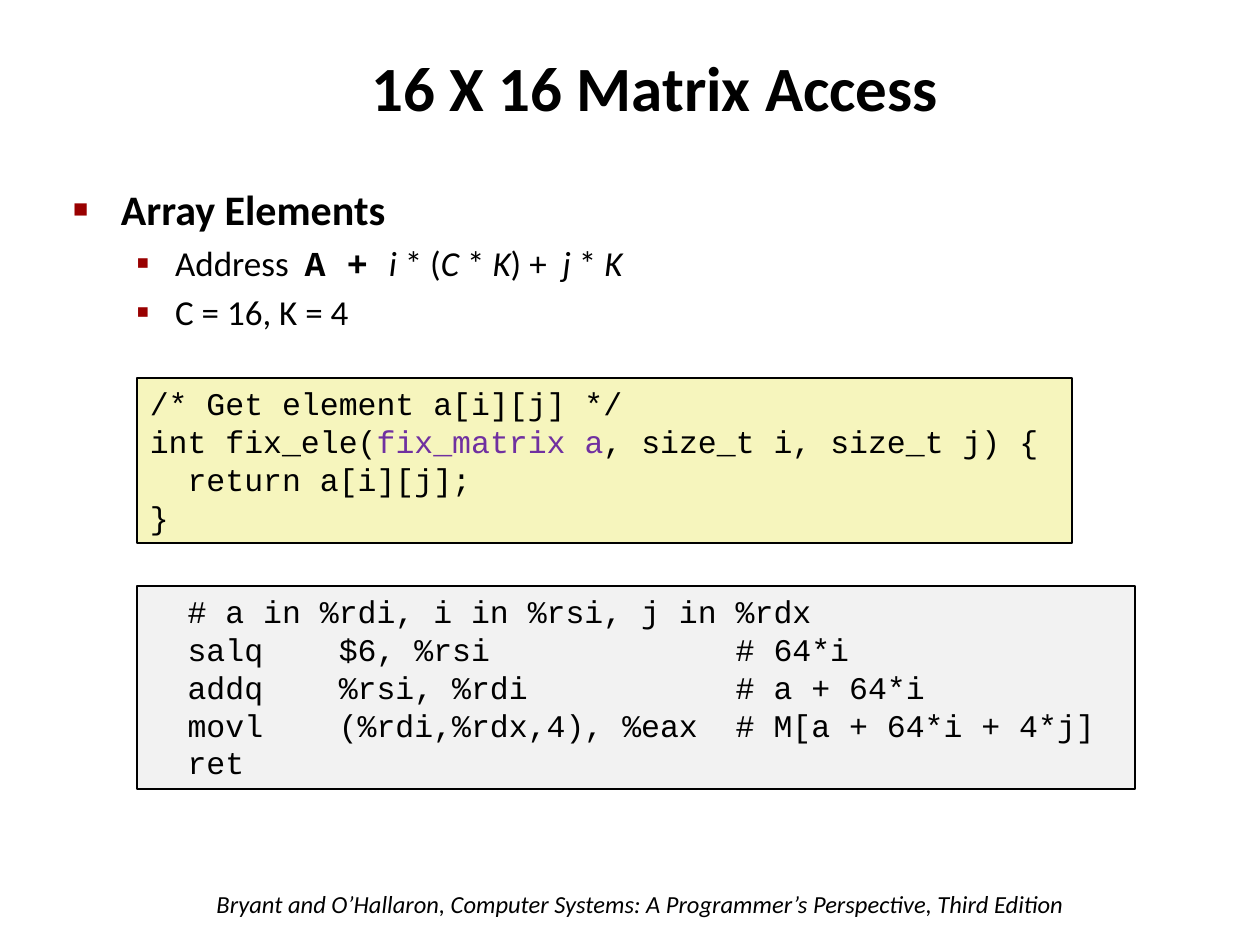
from dataclasses import dataclass

from lxml.etree import SubElement
from pptx import Presentation
from pptx.dml.color import RGBColor
from pptx.enum.shapes import MSO_SHAPE as Shape
from pptx.enum.text import MSO_ANCHOR as Anchor, MSO_AUTO_SIZE as AutoSize, PP_ALIGN as Align
from pptx.oxml.ns import qn
from pptx.util import Inches, Pt


@dataclass(frozen=True)
class Theme:
    sans: str = "Calibri"
    mono: str = "Courier New"
    ink: str = "000000"
    accent: str = "7030A0"
    bullet: str = "990000"
    c_fill: str = "F6F5BD"
    asm_fill: str = "F2F2F2"
    title: int = 36
    heading: int = 24
    item: int = 20
    code: int = 18
    footer: int = 14


THEME = Theme()

# Content: paragraphs are lists of (text, style) runs
TITLE = "16 X 16 Matrix Access"
FOOTER = "Bryant and O’Hallaron, Computer Systems: A Programmer’s Perspective, Third Edition"
ITALIC = {"italic": True}
BULLETS = [
    (0, [("Array Elements", {"bold": True})]),
    (1, [("Address  ", {}), ("A + ", {"bold": True, "face": THEME.mono}),
         ("i ", ITALIC), ("* (", {}), ("C ", ITALIC), ("* ", {}), ("K", ITALIC),
         (") +  ", {}), ("j", ITALIC), (" * ", {}), ("K", ITALIC)]),
    (1, [("C = 16, K = 4", {})]),
]
C_CODE = [
    [("/* Get element a[i][j] */", {})],
    [("int fix_ele(", {}), ("fix_matrix a", {"color": THEME.accent}),
     (", size_t i, size_t j) {", {})],
    [("  return a[i][j];", {})],
    [("}", {})],
]
ASSEMBLY = [[(line, {})] for line in (
    "  # a in %rdi, i in %rsi, j in %rdx",
    "  salq    $6, %rsi             # 64*i",
    "  addq    %rsi, %rdi           # a + 64*i",
    "  movl    (%rdi,%rdx,4), %eax  # M[a + 64*i + 4*j]",
    "  ret",
)]

# Layout in inches: left, top, width, height
TITLE_BOX = (0.89, 0, 8.62, 1.45)
BODY_BOX = (0.48, 1.41, 8.52, 1.59)
FOOTER_BOX = (1.62, 7.01, 7.1, 0.34)
CODE_LEFT, CODE_TOP, CODE_GAP = 1.09, 3, 0.34
CODE_BLOCKS = [  # lines, fill, width, height
    (C_CODE, THEME.c_fill, 7.42, 1.31),
    (ASSEMBLY, THEME.asm_fill, 7.92, 1.61),
]
LEVELS = [  # size, text indent, hanging indent, bullet, bullet size in percent
    (THEME.heading, 0.38, 0.38, "■", 60),
    (THEME.item, 0.81, 0.31, "▪", 110),
]


def inches(box):
    return [Inches(value) for value in box]


def place(shape, box):
    shape.left, shape.top, shape.width, shape.height = inches(box)


def add_runs(paragraph, runs, size, face):
    for text, style in runs:
        run = paragraph.add_run()
        run.text = text
        font = run.font
        font.name = style.get("face", face)
        font.size = Pt(size)
        font.bold = style.get("bold", False)
        font.italic = style.get("italic", False)
        font.color.rgb = RGBColor.from_string(style.get("color", THEME.ink))


def paragraphs(frame, count):
    return [frame.paragraphs[0]] + [frame.add_paragraph() for _ in range(count - 1)]


def set_bullet(paragraph, indent, hanging, mark, percent):
    props = paragraph._p.get_or_add_pPr()
    props.set("marL", str(Inches(indent)))
    props.set("indent", str(-Inches(hanging)))
    color = SubElement(props, qn("a:buClr"))
    SubElement(color, qn("a:srgbClr"), val=THEME.bullet)
    SubElement(props, qn("a:buSzPct"), val=str(percent * 1000))
    SubElement(props, qn("a:buChar"), char=mark)


def add_code(slide, lines, fill, box):
    block = slide.shapes.add_shape(Shape.RECTANGLE, *inches(box))
    block.shadow.inherit = False
    block.fill.solid()
    block.fill.fore_color.rgb = RGBColor.from_string(fill)
    block.line.color.rgb = RGBColor.from_string(THEME.ink)
    block.line.width = Pt(1)
    frame = block.text_frame
    frame.word_wrap = True
    frame.vertical_anchor = Anchor.TOP
    for paragraph, runs in zip(paragraphs(frame, len(lines)), lines):
        paragraph.alignment = Align.LEFT
        add_runs(paragraph, runs, THEME.code, THEME.mono)


def main():
    deck = Presentation()
    deck.slide_width, deck.slide_height = Inches(10), Inches(7.5)
    slide = deck.slides.add_slide(deck.slide_layouts[1])
    title, body = slide.placeholders

    # Footer
    footer = slide.shapes.add_textbox(*inches(FOOTER_BOX)).text_frame
    footer.word_wrap = True
    add_runs(footer.paragraphs[0], [(FOOTER, ITALIC)], THEME.footer, THEME.sans)

    # Title
    place(title, TITLE_BOX)
    title.text_frame.auto_size = AutoSize.NONE
    title.text_frame.vertical_anchor = Anchor.MIDDLE
    heading = title.text_frame.paragraphs[0]
    heading.alignment = Align.CENTER
    heading.line_spacing = 0.9
    add_runs(heading, [(TITLE, {"bold": True})], THEME.title, THEME.sans)

    # Bullets
    place(body, BODY_BOX)
    body.text_frame.auto_size = AutoSize.NONE
    rows = paragraphs(body.text_frame, len(BULLETS))
    for index, (paragraph, (level, runs)) in enumerate(zip(rows, BULLETS)):
        size, *bullet = LEVELS[level]
        paragraph.level = level
        paragraph.space_before = Pt(0.2 * size if index else 0)
        set_bullet(paragraph, *bullet)
        add_runs(paragraph, runs, size, THEME.sans)

    # Code blocks, stacked
    top = CODE_TOP
    for lines, fill, width, height in CODE_BLOCKS:
        add_code(slide, lines, fill, (CODE_LEFT, top, width, height))
        top += height + CODE_GAP

    deck.save("out.pptx")


if __name__ == "__main__":
    main()
